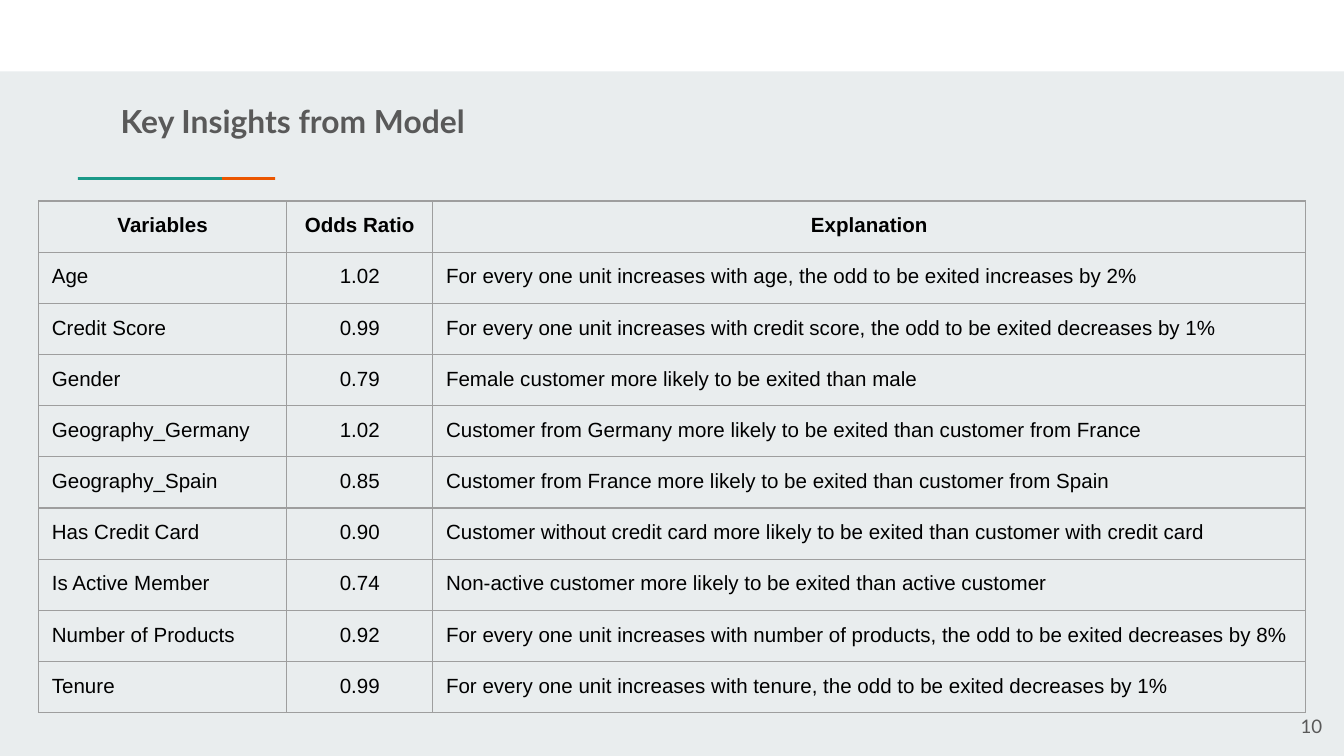
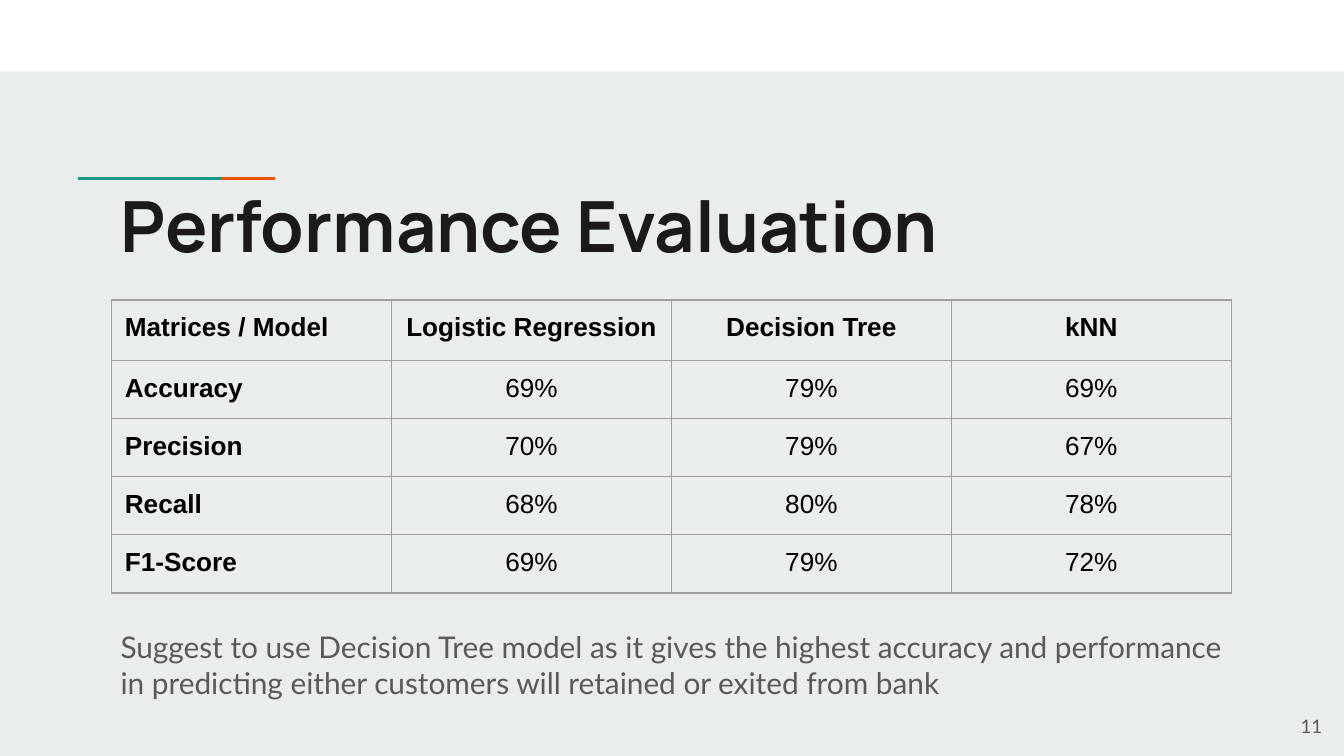
import pptx
import pptx.dml.color
import pptx.enum.shapes
import pptx.enum.text
import pptx.oxml
import pptx.oxml.ns
import pptx.util
from pptx.util import Cm

COLORS = {
    "background": "E9EDEE",
    "band": "FFFFFF",
    "orange": "EB5600",
    "teal": "1A9988",
    "heading": "1A1A1A",
    "body": "595959",
    "table_text": "000000",
    "border": "9E9E9E",
}
SLIDE_WIDTH, SLIDE_HEIGHT = 25.4, 14.29
INSET = 0.25
TEXT_LEFT, TEXT_WIDTH = 2.03, 21.36
LEFT = pptx.enum.text.PP_ALIGN.LEFT
CENTER = pptx.enum.text.PP_ALIGN.CENTER
RIGHT = pptx.enum.text.PP_ALIGN.RIGHT
TOP = pptx.enum.text.MSO_ANCHOR.TOP
MIDDLE = pptx.enum.text.MSO_ANCHOR.MIDDLE

INSIGHTS = [
    ("Variables", "Odds Ratio", "Explanation"),
    ("Age", "1.02", "For every one unit increases with age, the odd to be exited increases by 2%"),
    ("Credit Score", "0.99",
     "For every one unit increases with credit score, the odd to be exited decreases by 1%"),
    ("Gender", "0.79", "Female customer more likely to be exited than male"),
    ("Geography_Germany", "1.02",
     "Customer from Germany more likely to be exited than customer from France"),
    ("Geography_Spain", "0.85",
     "Customer from France more likely to be exited than customer from Spain"),
    ("Has Credit Card", "0.90",
     "Customer without credit card more likely to be exited than customer with credit card"),
    ("Is Active Member", "0.74",
     "Non-active customer more likely to be exited than active customer"),
    ("Number of Products", "0.92",
     "For every one unit increases with number of products, the odd to be exited decreases by 8%"),
    ("Tenure", "0.99",
     "For every one unit increases with tenure, the odd to be exited decreases by 1%"),
]
SCORES = [
    ("Matrices / Model", "Logistic Regression", "Decision Tree", "kNN"),
    ("Accuracy", "69%", "79%", "69%"),
    ("Precision", "70%", "79%", "67%"),
    ("Recall", "68%", "80%", "78%"),
    ("F1-Score", "69%", "79%", "72%"),
]


def rgb(name):
    return pptx.dml.color.RGBColor.from_string(COLORS[name])


def format_paragraph(paragraph, font_name, size, color, bold=False, align=LEFT):
    paragraph.alignment = align
    for run in paragraph.runs:
        run.font.name = font_name
        run.font.size = pptx.util.Pt(size)
        run.font.bold = bold
        run.font.color.rgb = rgb(color)


def add_rectangle(slide, box, color):
    shape = slide.shapes.add_shape(
        pptx.enum.shapes.MSO_SHAPE.RECTANGLE, *(Cm(value) for value in box))
    shape.shadow.inherit = False
    shape.fill.solid()
    shape.fill.fore_color.rgb = rgb(color)
    shape.line.fill.background()


def add_text(slide, box, text, font_name, size, color,
             bold=False, align=LEFT, anchor=TOP, line_spacing=1.0):
    text_frame = slide.shapes.add_textbox(*(Cm(value) for value in box)).text_frame
    text_frame.word_wrap = True
    text_frame.vertical_anchor = anchor
    text_frame.margin_left = text_frame.margin_right = Cm(INSET)
    text_frame.margin_top = text_frame.margin_bottom = Cm(INSET)
    text_frame.text = text
    paragraph = text_frame.paragraphs[0]
    paragraph.line_spacing = line_spacing
    format_paragraph(paragraph, font_name, size, color, bold, align)


def add_cell_borders(cell):
    properties = cell._tc.get_or_add_tcPr()
    for side in ("lnL", "lnR", "lnT", "lnB"):
        properties.append(pptx.oxml.parse_xml(
            f'<a:{side} {pptx.oxml.ns.nsdecls("a")} w="{pptx.util.Pt(0.75)}">'
            f'<a:solidFill><a:srgbClr val="{COLORS["border"]}"/></a:solidFill></a:{side}>'))


def add_grid(slide, left, top, column_widths, row_heights, rows, size,
             centered_columns, centered_header, bold_first_column):
    """Outlined table without fills; the header row is always bold."""
    frame = slide.shapes.add_table(
        len(rows), len(column_widths), Cm(left), Cm(top),
        Cm(sum(column_widths)), Cm(sum(row_heights)))
    table = frame.table
    table.first_row = table.horz_banding = False
    for column, width in zip(table.columns, column_widths):
        column.width = Cm(width)
    for row, height in zip(table.rows, row_heights):
        row.height = Cm(height)
    for row_index, values in enumerate(rows):
        for column_index, value in enumerate(values):
            cell = table.cell(row_index, column_index)
            is_header = row_index == 0
            centered = column_index in centered_columns or (is_header and centered_header)
            bold = is_header or (bold_first_column and column_index == 0)
            cell.margin_left = cell.margin_right = Cm(INSET)
            cell.margin_top = cell.margin_bottom = Cm(INSET)
            add_cell_borders(cell)
            cell.fill.background()
            cell.text_frame.text = value
            format_paragraph(cell.text_frame.paragraphs[0], "Arial", size, "table_text",
                             bold, CENTER if centered else LEFT)


def add_accent(slide, left, top, width):
    """Two overlapping rules, teal over orange."""
    part = 0.73 * width
    add_rectangle(slide, (left + width - part, top, part, 0.05), "orange")
    add_rectangle(slide, (left, top, part, 0.05), "teal")


def add_base_slide(presentation, number):
    slide = presentation.slides.add_slide(presentation.slide_layouts[6])
    slide.background.fill.solid()
    slide.background.fill.fore_color.rgb = rgb("background")
    # Top band, accent rule and page number
    add_rectangle(slide, (0, 0, SLIDE_WIDTH, 1.35), "band")
    add_accent(slide, 1.47, 3.35, 3.73)
    add_text(slide, (23.72, 13.18, 1.52, 1.09), str(number), "Lato", 10, "body",
             align=RIGHT, anchor=MIDDLE)
    return slide


def build_insights_slide(presentation):
    slide = add_base_slide(presentation, 10)
    add_text(slide, (TEXT_LEFT, 1.68, TEXT_WIDTH, 1.5), "Key Insights from Model",
             "Lato", 17, "body", bold=True)
    add_grid(slide, 0.73, 3.8, [4.69, 2.76, 16.5], [0.94] * len(INSIGHTS), INSIGHTS, 11,
             centered_columns={1}, centered_header=True, bold_first_column=False)


def build_evaluation_slide(presentation):
    slide = add_base_slide(presentation, 11)
    add_text(slide, (TEXT_LEFT, 3.3, TEXT_WIDTH, 2.11), "Performance Evaluation",
             "Manrope", 37.8, "heading", bold=True, line_spacing=0.95)
    add_grid(slide, 2.11, 5.67, [5.29] * 4, [1.14] + [1.1] * 4, SCORES, 14,
             centered_columns={1, 2, 3}, centered_header=False, bold_first_column=True)
    # Recommendation
    add_text(slide, (TEXT_LEFT, 11.63, TEXT_WIDTH, 2.11),
             "Suggest to use Decision Tree model as it gives the highest accuracy and "
             "performance in predicting either customers will retained or exited from bank",
             "Lato", 16, "body")


def main():
    presentation = pptx.Presentation()
    presentation.slide_width = Cm(SLIDE_WIDTH)
    presentation.slide_height = Cm(SLIDE_HEIGHT)
    build_insights_slide(presentation)
    build_evaluation_slide(presentation)
    presentation.save("out.pptx")


if __name__ == "__main__":
    main()
